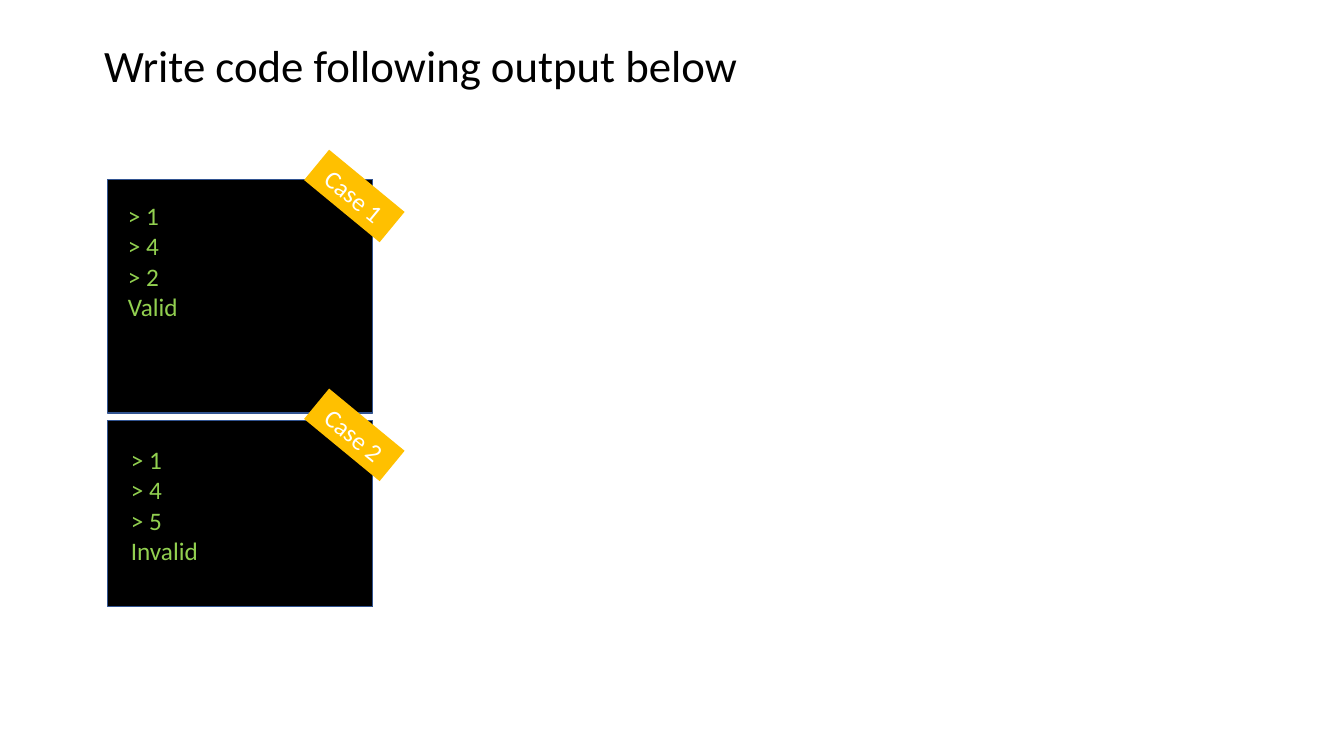
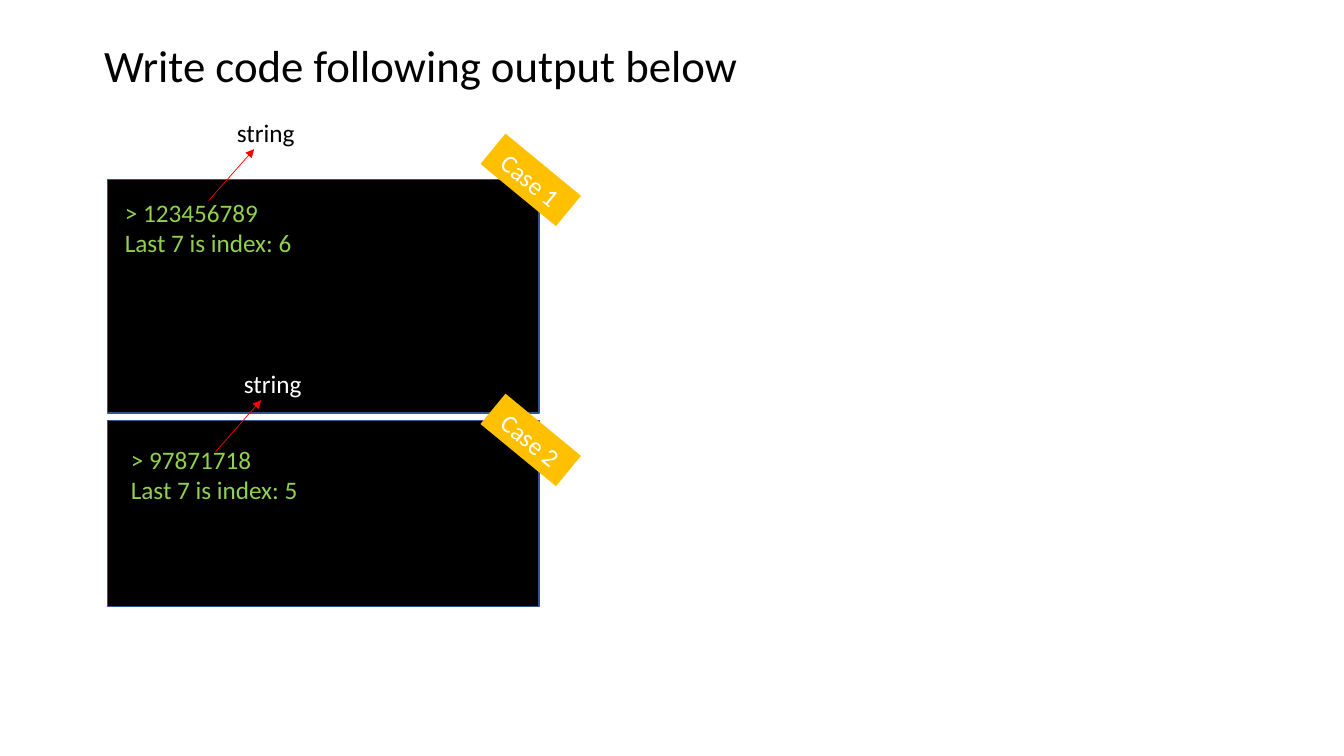
from lxml.etree import SubElement
from pptx import Presentation
from pptx.dml.color import RGBColor
from pptx.enum.shapes import MSO_CONNECTOR, MSO_SHAPE
from pptx.enum.text import MSO_ANCHOR, PP_ALIGN
from pptx.oxml.ns import qn
from pptx.util import Inches, Pt

BLACK = RGBColor(0x00, 0x00, 0x00)
WHITE = RGBColor(0xFF, 0xFF, 0xFF)
GREEN = RGBColor(0x92, 0xD0, 0x50)
GOLD = RGBColor(0xFF, 0xC0, 0x00)
BLUE = RGBColor(0x32, 0x54, 0x91)
RED = RGBColor(0xFF, 0x00, 0x00)
FONT = "Calibri"
TITLE = "Write code following output below"

deck = Presentation()
deck.slide_width = Inches(13.33)
deck.slide_height = Inches(7.5)
COL = deck.slide_width / 100
ROW = deck.slide_height / 100

LEFT = 8.02
PANELS = [(23.73, 30.93), (55.6, 24.67)]


def grid(x, y, wide, high):
    return [int(x * COL), int(y * ROW), int(wide * COL), int(high * ROW)]


def write(slide, words, x, y, wide, color, size=18, wrap=False):
    lines = words.split("\n")
    high = (4 * len(lines)) * size / 18 + 1.4
    box = slide.shapes.add_textbox(*grid(x, y, wide, high))
    box.text_frame.text = words
    box.text_frame.word_wrap = wrap
    for para in box.text_frame.paragraphs:
        font = para.runs[0].font
        font.name, font.size = FONT, Pt(size)
        font.color.rgb = color


SLIDES = [
    {
        "wide": 19.72,
        "texts": [
            ("> 1\n> 4\n> 2\nValid", 8.78, 25.87, 20.32, True),
            ("> 1\n> 4\n> 5\nInvalid", 9, 58.13, 6.52, False),
        ],
        "tags": (22.73, [23.33, 54.93]),
        "notes": [],
    },
    {
        "wide": 32.1,
        "texts": [
            ("> 123456789\nLast 7 is index: 6", 8.55, 25.47, 28.65, True),
            ("> 97871718\nLast 7 is index: 5", 9, 58.13, 14.1, False),
        ],
        "tags": (35.85, [21.2, 55.6]),
        "notes": [(15.53, 26.53, BLACK), (16.05, 59.73, WHITE)],
    },
]

for page in SLIDES:
    slide = deck.slides.add_slide(deck.slide_layouts[6])
    write(slide, TITLE, 7, 4.27, 49.12, BLACK, size=32)

    for (top, high), (words, x, y, wide, wrap) in zip(PANELS, page["texts"]):
        panel = slide.shapes.add_shape(
            MSO_SHAPE.RECTANGLE, *grid(LEFT, top, page["wide"], high))
        panel.shadow.inherit = False
        panel.fill.solid()
        panel.fill.fore_color.rgb = BLACK
        panel.line.color.rgb = BLUE
        panel.line.width = Pt(1)
        write(slide, words, x, y, wide, GREEN, wrap=wrap)

    x, tops = page["tags"]
    for num, y in enumerate(tops, 1):
        tag = slide.shapes.add_shape(
            MSO_SHAPE.RECTANGLE, *grid(x, y, 7.28, 5.2))
        tag.rotation = 39.5
        tag.shadow.inherit = False
        tag.fill.solid()
        tag.fill.fore_color.rgb = GOLD
        tag.line.fill.background()
        tag.text_frame.text = f"Case {num}"
        tag.text_frame.vertical_anchor = MSO_ANCHOR.MIDDLE
        para = tag.text_frame.paragraphs[0]
        para.alignment = PP_ALIGN.CENTER
        font = para.runs[0].font
        font.name, font.size = FONT, Pt(18)
        font.color.rgb = WHITE

    for x, y, color in page["notes"]:
        ends = grid(x, y, x + 3.38, y - 6.8)
        arrow = slide.shapes.add_connector(MSO_CONNECTOR.STRAIGHT, *ends)
        arrow.line.color.rgb = RED
        arrow.line.width = Pt(0.5)
        SubElement(arrow.line._get_or_add_ln(), qn("a:tailEnd"), type="triangle")
        SubElement(arrow._element.spPr, qn("a:effectLst"))
        write(slide, "string", x + 1.35, y - 11.73, 5.85, color)

deck.save("out.pptx")
